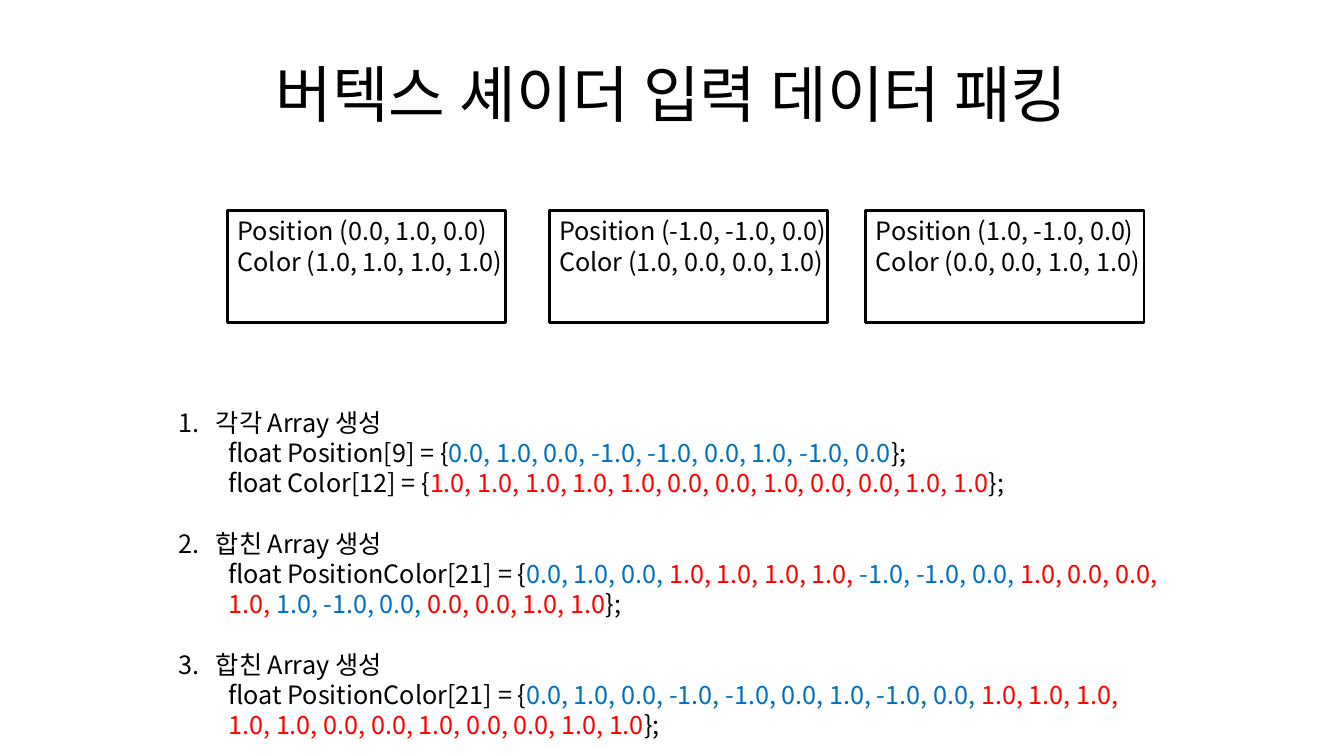
import pptx
import pptx.util
import pptx.dml.color
import pptx.enum.shapes
import pptx.enum.text
import lxml.etree

Pt = pptx.util.Pt
RGB = pptx.dml.color.RGBColor.from_string
ALIGN = pptx.enum.text.PP_ALIGN
ANCHOR = pptx.enum.text.MSO_ANCHOR
NS = "{http://schemas.openxmlformats.org/drawingml/2006/main}"

THEME = {
    "font": "Noto Sans CJK KR", "text": "000000", "paper": "FFFFFF",
    "position": "0070C0", "color": "FF0000",
    "title_size": 44, "text_size": 18, "line_pitch": 21.6,
}

TITLE = "버텍스 셰이더 입력 데이터 패킹"
VERTICES = [
    {"left": 162.7, "position": "0.0, 1.0, 0.0", "color": "1.0, 1.0, 1.0, 1.0"},
    {"left": 392.4, "position": "-1.0, -1.0, 0.0", "color": "1.0, 0.0, 0.0, 1.0"},
    {"left": 618.5, "position": "1.0, -1.0, 0.0", "color": "0.0, 0.0, 1.0, 1.0"},
]
POSITIONS = ("position", ", ".join(v["position"] for v in VERTICES))
COLORS = ("color", ", ".join(v["color"] for v in VERTICES))
INTERLEAVED = [(kind, v[kind]) for v in VERTICES for kind in ("position", "color")]
STEPS = [
    ("각각 Array 생성", [("Position[9]", [POSITIONS]), ("Color[12]", [COLORS])]),
    ("합친 Array 생성", [("PositionColor[21]", INTERLEAVED)]),
    ("합친 Array 생성", [("PositionColor[21]", [POSITIONS, COLORS])]),
]

BOX_TOP, BOX_W, BOX_H = 150.5, 198.7, 79.9
LABEL_W, LABEL_H = 221, 51.1


def place(s, left, top, width, height):
    box = {"left": left, "top": top, "width": width, "height": height}
    for name, value in box.items():
        setattr(s, name, Pt(value))


def format_frame(tf, anchor):
    values = {"word_wrap": True, "auto_size": pptx.enum.text.MSO_AUTO_SIZE.NONE,
              "vertical_anchor": anchor}
    for name, value in values.items():
        setattr(tf, name, value)


def add_run(p, text, color="text", size="text_size"):
    r = p.add_run()
    r.text = text
    for name, value in {"size": Pt(THEME[size]), "name": THEME["font"]}.items():
        setattr(r.font, name, value)
    r.font.color.rgb = RGB(THEME[color])
    ea = lxml.etree.SubElement(r.font._element, NS + "ea")
    ea.set("typeface", THEME["font"])


def add_line(tf, **extra):
    first = tf.paragraphs[0]
    p = tf.add_paragraph() if first.runs else first
    values = {"alignment": ALIGN.LEFT, "line_spacing": Pt(THEME["line_pitch"]),
              "space_before": Pt(0), "space_after": Pt(0), **extra}
    for name, value in values.items():
        setattr(p, name, value)
    return p


def set_bullet(p, indent, hanging, number=None):
    pPr = p._p.get_or_add_pPr()
    pPr.set("marL", str(Pt(indent)))
    pPr.set("indent", str(-Pt(hanging)))
    if number is None:
        lxml.etree.SubElement(pPr, NS + "buNone")
    else:
        font = lxml.etree.SubElement(pPr, NS + "buFont")
        font.set("typeface", THEME["font"])
        bullet = lxml.etree.SubElement(pPr, NS + "buAutoNum")
        bullet.set("type", "arabicPeriod")
        bullet.set("startAt", str(number))


def add_vertex(slide, vertex):
    s = slide.shapes.add_shape(pptx.enum.shapes.MSO_SHAPE.RECTANGLE,
                               Pt(vertex["left"]), Pt(BOX_TOP), Pt(BOX_W), Pt(BOX_H))
    s.shadow.inherit = False
    s.fill.solid()
    s.fill.fore_color.rgb = RGB(THEME["paper"])
    s.line.color.rgb = RGB(THEME["text"])
    s.line.width = Pt(2)
    label = slide.shapes.add_textbox(Pt(vertex["left"]), Pt(BOX_TOP), Pt(LABEL_W), Pt(LABEL_H))
    format_frame(label.text_frame, ANCHOR.TOP)
    for kind in ("position", "color"):
        add_run(add_line(label.text_frame), f"{kind.capitalize()} ({vertex[kind]})")


def add_steps(tf):
    for number, (heading, arrays) in enumerate(STEPS, 1):
        gap = THEME["line_pitch"] if number > 1 else 0
        p = add_line(tf, space_before=Pt(gap))
        set_bullet(p, 27, 27, number)
        add_run(p, heading)
        for name, parts in arrays:
            p = add_line(tf, level=1)
            set_bullet(p, 36, 0)
            add_run(p, f"float {name} = {{")
            for i, (kind, values) in enumerate(parts, 1):
                add_run(p, values + (", " if i < len(parts) else ""), kind)
            add_run(p, "};")


def main():
    prs = pptx.Presentation()
    prs.slide_width, prs.slide_height = Pt(960), Pt(540)
    slide = prs.slides.add_slide(prs.slide_layouts[1])
    title, body = slide.placeholders

    place(title, 48, 21.6, 864, 90)
    format_frame(title.text_frame, ANCHOR.MIDDLE)
    p = title.text_frame.paragraphs[0]
    p.alignment = ALIGN.CENTER
    add_run(p, TITLE, size="title_size")

    for vertex in VERTICES:
        add_vertex(slide, vertex)

    place(body, 120, 287.3, 720, 247)
    format_frame(body.text_frame, ANCHOR.TOP)
    add_steps(body.text_frame)
    prs.save("out.pptx")


if __name__ == "__main__":
    main()
